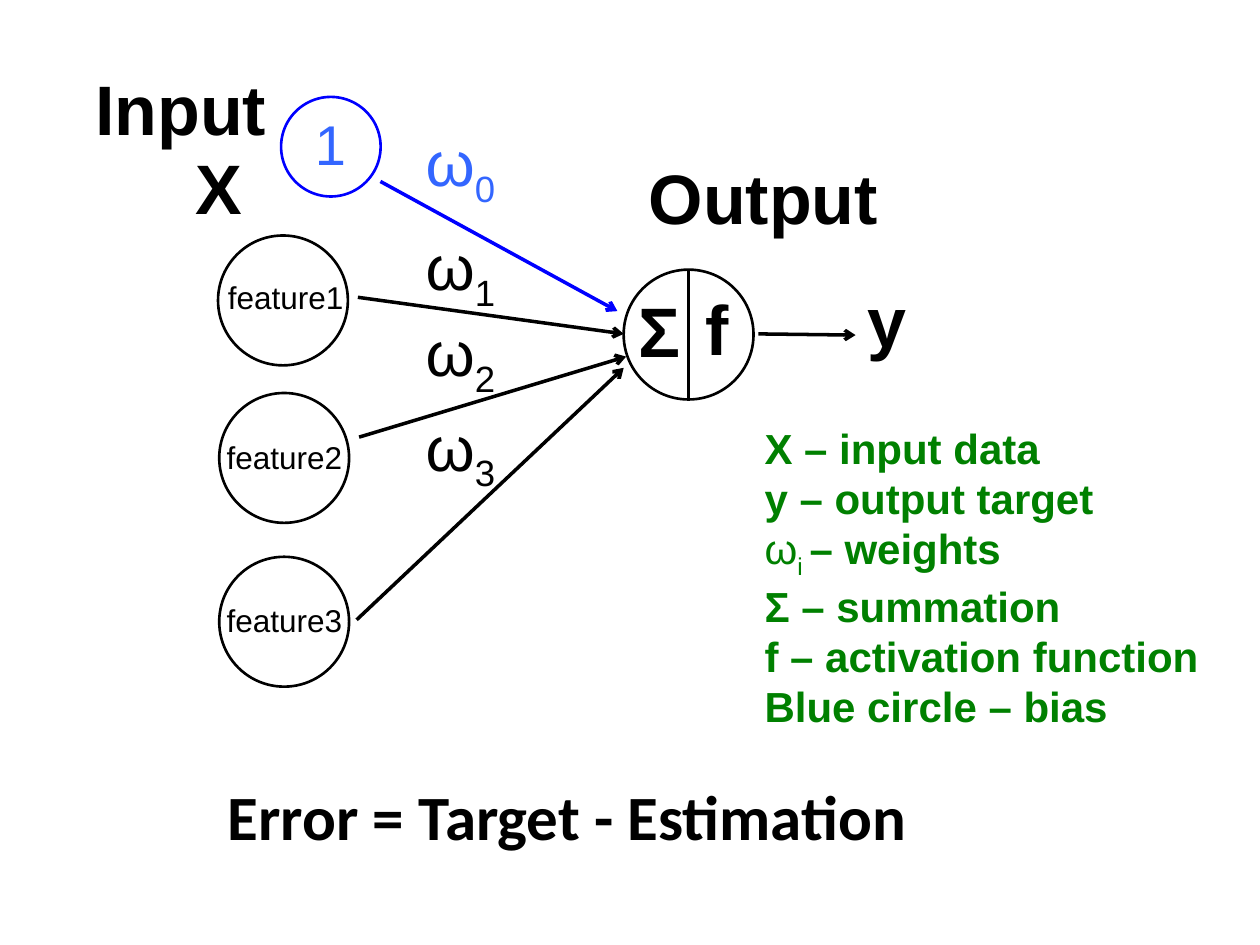
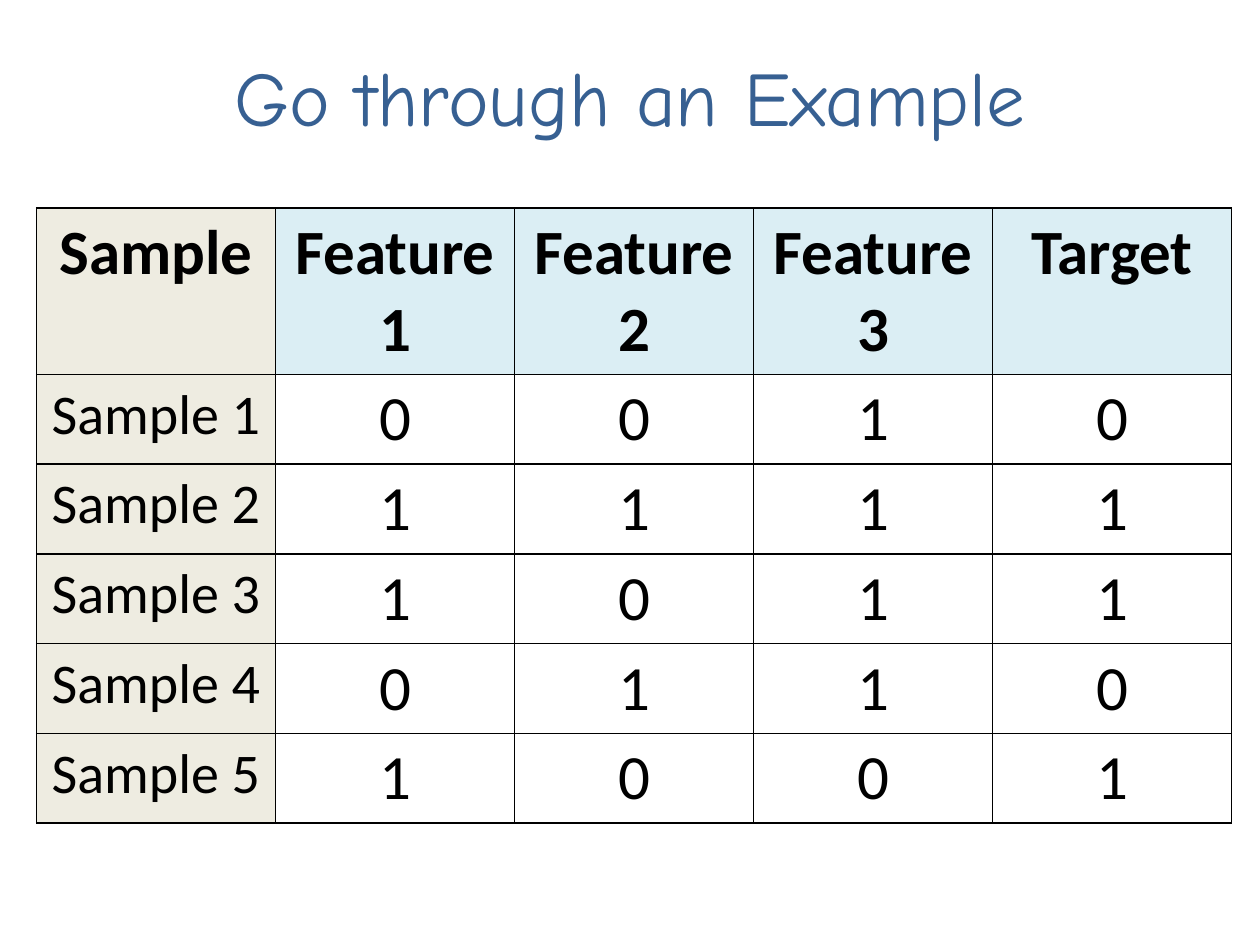
from lxml import etree
from pptx import Presentation
from pptx.dml.color import RGBColor
from pptx.enum.shapes import MSO_CONNECTOR, MSO_SHAPE
from pptx.enum.text import MSO_ANCHOR, PP_ALIGN
from pptx.oxml.ns import qn
from pptx.util import Pt

OVAL = MSO_SHAPE.OVAL
STRAIGHT = MSO_CONNECTOR.STRAIGHT
CENTER = PP_ALIGN.CENTER
MIDDLE = MSO_ANCHOR.MIDDLE

BLACK = RGBColor(0x00, 0x00, 0x00)
BLUE = RGBColor(0x00, 0x00, 0xFF)
LIGHT_BLUE = RGBColor(0x33, 0x66, 0xFF)
GREEN = RGBColor(0x00, 0x80, 0x00)
TITLE_BLUE = RGBColor(0x37, 0x60, 0x92)
TAN = RGBColor(0xEE, 0xEC, 0xE1)
PALE_BLUE = RGBColor(0xDB, 0xEE, 0xF4)

DIAGRAM_FONT, BODY_FONT, TITLE_FONT = "Arial", "Calibri", "Comic Neue"

# Slide 1: positions in points
NODE = 74.2
NEURON = (356.4, 154.1)
# circle left, top; label left, top
FEATURES = [
    ("feature1", (124.6, 134.6), (123.1, 155.5)),
    ("feature2", (125.3, 224.6), (122.4, 247)),
    ("feature3", (125.3, 318.2), (122.4, 339.8)),
]
WEIGHT_LEFT = 236.2
WEIGHTS = [("0", 67, LIGHT_BLUE), ("1", 126.7, BLACK), ("2", 175.7, BLACK), ("3", 229.7, BLACK)]
ARROWS = [
    ((217.4, 103.7), (352.8, 177.8), BLUE),
    ((204.5, 169.9), (356.4, 190.8), BLACK),
    ((205.2, 249.8), (357.8, 203.8), BLACK),
    ((203.8, 354.2), (356.4, 210.2), BLACK),
    ((433.4, 190.8), (488.9, 191.5), BLACK),
]
HEADINGS = [  # text, left, top, width
    ("Input", 47.5, 33.8, 113),
    ("X", 104.4, 79.2, 41.8),
    ("Output", 363.6, 85, 146.9),
    ("Σ", 357.8, 160.6, 38.9),
    ("f", 396, 159.8, 28.8),
    ("y", 488.9, 154.8, 37.4),
]
# Each line is a list of (text, bold, subscript) runs
LEGEND = [
    [("X – input data", True, False)],
    [("y – output target", True, False)],
    [("ω", False, False), ("i ", False, True), ("– weights", True, False)],
    [("Σ – summation", True, False)],
    [("f – activation function", True, False)],
    [("Blue circle – bias", True, False)],
]
EQUATION = "Error = Target - Estimation"

# Slide 2
TITLE = "Go through an Example"
HEADER = ["Sample", "Feature 1", "Feature 2", "Feature 3", "Target"]
SAMPLES = [(0, 0, 1, 0), (1, 1, 1, 1), (1, 0, 1, 1), (0, 1, 1, 0), (1, 0, 0, 1)]
COL_W, HEADER_H, ROW_H = 136.6, 95.2, 51.3


def style(r, size, color, font, bold=False):
    r.font.size = Pt(size)
    r.font.name = font
    r.font.bold = bold
    r.font.color.rgb = color


def add_text(s, lines, box, size, color=BLACK, font=DIAGRAM_FONT):
    """Add an unwrapped text box; each line is a list of (text, bold, subscript)."""
    tf = s.shapes.add_textbox(*map(Pt, box)).text_frame
    tf.word_wrap = False
    for i, runs in enumerate(lines):
        p = tf.add_paragraph() if i else tf.paragraphs[0]
        for text, bold, subscript in runs:
            r = p.add_run()
            r.text = text
            style(r, size, color, font, bold)
            if subscript:
                r._r.get_or_add_rPr().set("baseline", "-25000")
    return tf


def add_label(s, text, box, size, color=BLACK, font=DIAGRAM_FONT, bold=False):
    return add_text(s, [[(text, bold, False)]], box, size, color, font)


def add_circle(s, left, top, diameter=NODE, color=BLACK):
    sp = s.shapes.add_shape(OVAL, Pt(left), Pt(top), Pt(diameter), Pt(diameter))
    sp.shadow.inherit = False
    sp.fill.background()
    sp.line.color.rgb = color
    sp.line.width = Pt(1.5)


def add_line(s, start, end, color=BLACK, arrow=True):
    c = s.shapes.add_connector(STRAIGHT, *map(Pt, start + end))
    c.line.color.rgb = color
    c.line.width = Pt(2)
    spPr = c.element.spPr
    if arrow:
        etree.SubElement(spPr.find(qn("a:ln")), qn("a:tailEnd"), type="arrow")
    etree.SubElement(spPr, qn("a:effectLst"))


def add_borders(cell):
    tcPr = cell._tc.get_or_add_tcPr()
    for side in ("lnL", "lnR", "lnT", "lnB"):
        ln = etree.SubElement(tcPr, qn("a:" + side), w=str(Pt(1)))
        fill = etree.SubElement(ln, qn("a:solidFill"))
        etree.SubElement(fill, qn("a:srgbClr"), val=str(BLACK))


def build_neuron(s):
    for name, circle, label in FEATURES:
        add_circle(s, *circle)
        add_label(s, name, (*label, 81.4, 28.8), 18)
    add_circle(s, 160.6, 55.4, 56.9, BLUE)
    add_label(s, "1", (172.8, 59, 32.4, 46.1), 32, LIGHT_BLUE)

    left, top = NEURON
    middle = left + NODE / 2
    add_circle(s, left, top)
    add_line(s, (middle, top), (middle, top + NODE), arrow=False)

    for start, end, color in ARROWS:
        add_line(s, start, end, color)
    for index, top, color in WEIGHTS:
        add_text(s, [[("ω", False, False), (index, False, True)]],
                 (WEIGHT_LEFT, top, 55.4, 51.1), 36, color)
    for text, left, top, width in HEADINGS:
        add_label(s, text, (left, top, width, 55.4), 40, bold=True)
    add_text(s, LEGEND, (429.8, 237.6, 265, 181.4), 24, GREEN)
    add_label(s, EQUATION, (123.1, 440.6, 411.1, 51.1), 36, font=BODY_FONT, bold=True)


def build_example(s):
    tf = add_label(s, TITLE, (36, 21.6, 648, 66.2), 44, TITLE_BLUE, TITLE_FONT)
    tf.word_wrap = True
    tf.vertical_anchor = MIDDLE
    tf.paragraphs[0].alignment = CENTER

    rows = [HEADER] + [[f"Sample {n}", *values] for n, values in enumerate(SAMPLES, 1)]
    heights = [HEADER_H] + [ROW_H] * len(SAMPLES)
    table = s.shapes.add_table(len(rows), len(HEADER), Pt(20.9), Pt(118.8),
                               Pt(COL_W * len(HEADER)), Pt(sum(heights))).table
    table.first_row = table.horz_banding = False
    for col in table.columns:
        col.width = Pt(COL_W)
    for i, values in enumerate(rows):
        table.rows[i].height = Pt(heights[i])
        for j, value in enumerate(values):
            cell = table.cell(i, j)
            add_borders(cell)
            if i and j:
                cell.fill.background()
            else:
                cell.fill.solid()
                cell.fill.fore_color.rgb = PALE_BLUE if j else TAN
            p = cell.text_frame.paragraphs[0]
            p.text = str(value)
            p.alignment = CENTER
            style(p.runs[0], 32 if i and not j else 36, BLACK, BODY_FONT, bold=i == 0)


def main():
    prs = Presentation()
    prs.slide_width, prs.slide_height = Pt(720), Pt(540)
    for build in (build_neuron, build_example):
        build(prs.slides.add_slide(prs.slide_layouts[6]))
    prs.save("out.pptx")


if __name__ == "__main__":
    main()
